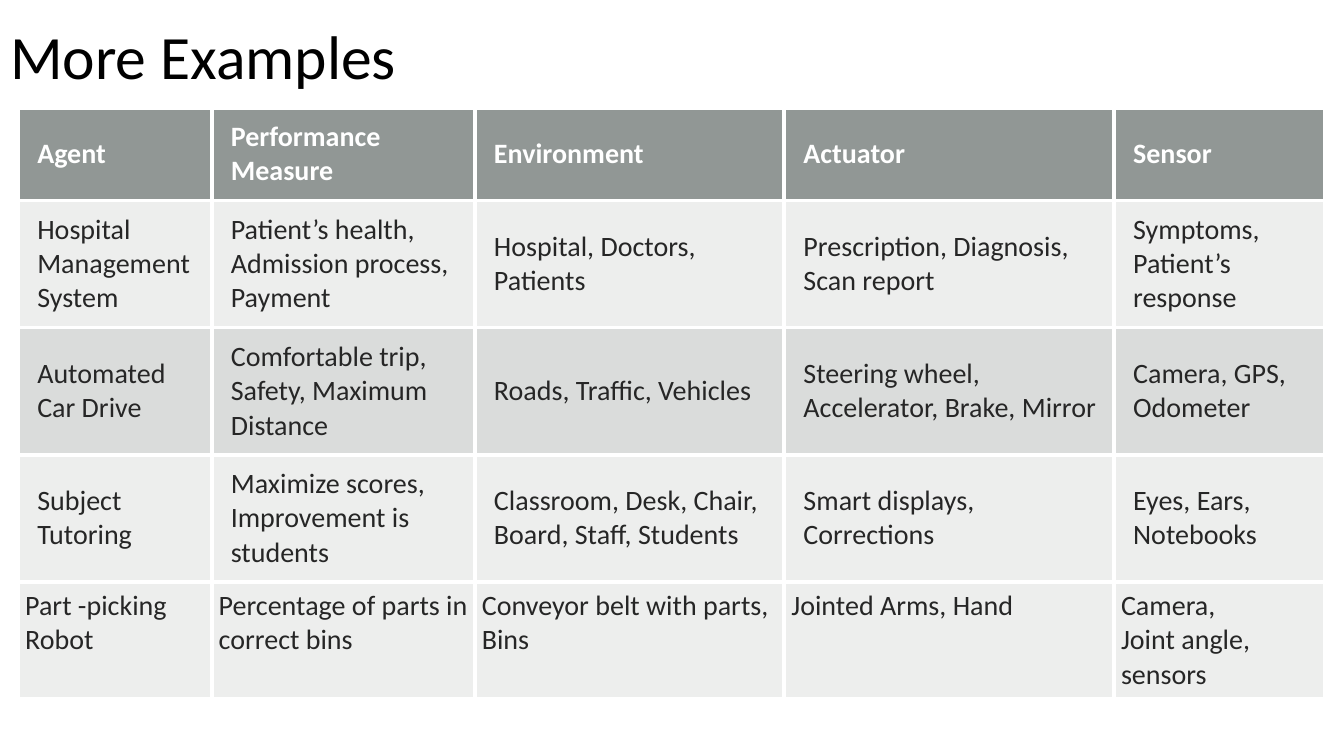
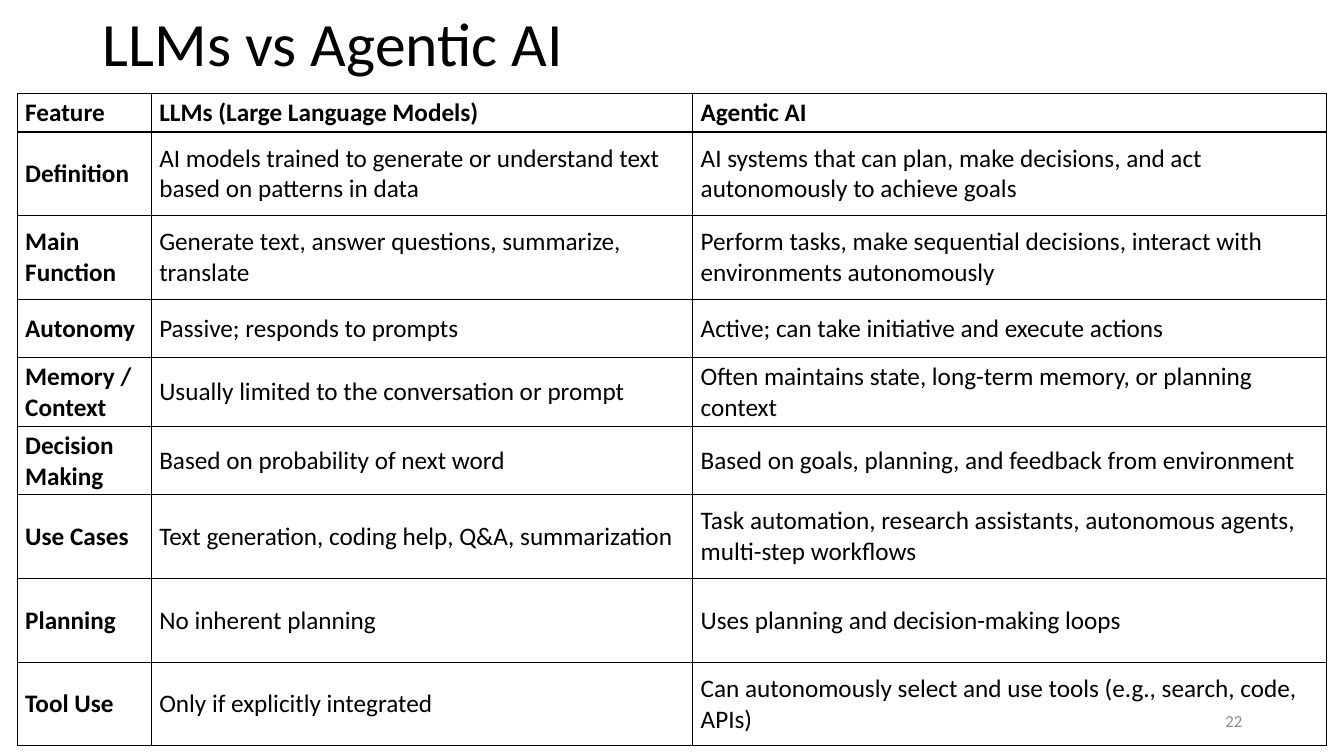
from pptx import Presentation
from pptx.dml.color import RGBColor
from pptx.enum.text import MSO_ANCHOR, MSO_AUTO_SIZE, PP_ALIGN
from pptx.oxml.ns import qn
from pptx.util import Inches, Pt
from lxml import etree

MIDDLE, TOP = MSO_ANCHOR.MIDDLE, MSO_ANCHOR.TOP
LEFT, RIGHT = PP_ALIGN.LEFT, PP_ALIGN.RIGHT
NO_AUTOFIT = MSO_AUTO_SIZE.NONE
TITLE_ONLY = 5

FONT = "Calibri"
BLACK, WHITE, DARK, GREY = "000000", "FFFFFF", "262626", "8C8C8C"
HEADER_FILL, BODY_FILL = "636B68", "878E8B"

AGENT_ROWS = [
    ["Agent", "Performance Measure", "Environment", "Actuator", "Sensor"],
    ["Hospital Management System", "Patient’s health, Admission process, Payment",
     "Hospital, Doctors, Patients", "Prescription, Diagnosis, Scan report",
     "Symptoms, Patient’s response"],
    ["Automated Car Drive", "Comfortable trip, Safety, Maximum Distance",
     "Roads, Traffic, Vehicles", "Steering wheel, Accelerator, Brake, Mirror",
     "Camera, GPS, Odometer"],
    ["Subject Tutoring", "Maximize scores, Improvement is students",
     "Classroom, Desk, Chair, Board, Staff, Students",
     "Smart displays, Corrections", "Eyes, Ears, Notebooks"],
    ["Part -picking Robot", "Percentage of parts in correct bins",
     "Conveyor belt with parts,\nBins", "Jointed Arms, Hand",
     "Camera,\nJoint angle, sensors"],
]
COMPARISON_ROWS = [
    ["Feature", "LLMs (Large Language Models)", "Agentic AI"],
    ["Definition",
     "AI models trained to generate or understand text based on patterns in data",
     "AI systems that can plan, make decisions, and act autonomously to achieve goals"],
    ["Main Function", "Generate text, answer questions, summarize, translate",
     "Perform tasks, make sequential decisions, interact with environments autonomously"],
    ["Autonomy", "Passive; responds to prompts",
     "Active; can take initiative and execute actions"],
    ["Memory / Context", "Usually limited to the conversation or prompt",
     "Often maintains state, long-term memory, or planning context"],
    ["Decision Making", "Based on probability of next word",
     "Based on goals, planning, and feedback from environment"],
    ["Use Cases", "Text generation, coding help, Q&A, summarization",
     "Task automation, research assistants, autonomous agents, multi-step workflows"],
    ["Planning", "No inherent planning", "Uses planning and decision-making loops"],
    ["Tool Use", "Only if explicitly integrated",
     "Can autonomously select and use tools (e.g., search, code, APIs)"],
]


def rgb(color):
    return RGBColor.from_string(color)


class Deck:
    """Holds the shared style and the slide being built."""

    def __init__(self):
        self.presentation = Presentation()
        self.presentation.slide_width = Inches(13.33)
        self.presentation.slide_height = Inches(7.5)
        self.slide = None

    def add_slide(self, title, left, top, width, height):
        layout = self.presentation.slide_layouts[TITLE_ONLY]
        self.slide = self.presentation.slides.add_slide(layout)
        shape = self.slide.shapes.title
        shape.left, shape.top = Inches(left), Inches(top)
        shape.width, shape.height = Inches(width), Inches(height)
        frame = shape.text_frame
        frame.auto_size = NO_AUTOFIT
        frame.vertical_anchor = MIDDLE
        self.add_text(frame, title, 44, BLACK)
        frame.paragraphs[0].line_spacing = 0.9

    def add_text(self, frame, text, size, color, bold=False, align=LEFT):
        frame.word_wrap = True
        for index, line in enumerate(text.split("\n")):
            paragraph = frame.add_paragraph() if index else frame.paragraphs[0]
            paragraph.alignment = align
            run = paragraph.add_run()
            run.text = line
            run.font.name, run.font.size = FONT, Pt(size)
            run.font.bold = bold
            run.font.color.rgb = rgb(color)

    def page_number(self, number):
        box = self.slide.shapes.add_textbox(
            Inches(9.42), Inches(6.95), Inches(3), Inches(0.4))
        box.text_frame.vertical_anchor = MIDDLE
        self.add_text(box.text_frame, number, 12, GREY, align=RIGHT)

    def table(self, left, top, columns, heights):
        table = self.slide.shapes.add_table(
            len(heights), len(columns), Inches(left), Inches(top),
            Inches(sum(columns)), Inches(sum(heights))).table
        table.first_row = table.horz_banding = False
        for column, width in zip(table.columns, columns):
            column.width = Inches(width)
        for row, height in zip(table.rows, heights):
            row.height = Inches(height)
        return table

    def cell(self, cell, text, size, color, bold, insets, anchor=MIDDLE):
        cell.vertical_anchor = anchor
        (cell.margin_left, cell.margin_top,
         cell.margin_right, cell.margin_bottom) = map(Inches, insets)
        self.add_text(cell.text_frame, text, size, color, bold)

    def cell_fill(self, cell, color, percent):
        cell.fill.solid()
        cell.fill.fore_color.rgb = rgb(color)
        properties = cell._tc.get_or_add_tcPr()
        shade = properties.find(qn("a:solidFill")).find(qn("a:srgbClr"))
        etree.SubElement(shade, qn("a:alpha")).set("val", str(percent * 1000))

    def cell_borders(self, cell, color, points):
        properties = cell._tc.get_or_add_tcPr()
        for index, side in enumerate("LRTB"):
            line = etree.Element(qn("a:ln" + side), w=str(Pt(points)))
            fill = etree.SubElement(line, qn("a:solidFill"))
            etree.SubElement(fill, qn("a:srgbClr")).set("val", color)
            properties.insert(index, line)


def agent_examples(deck):
    deck.add_slide("More Examples", 0, -0.03, 13.33, 1.25)
    table = deck.table(0.18, 1.07, [1.92, 2.61, 3.07, 3.27, 2.09], [0.86] + [1.14] * 4)
    last = len(AGENT_ROWS) - 1
    for row, texts in enumerate(AGENT_ROWS):
        header = row == 0
        insets = [0.07] * 4 if row == last else [0.19, 0.12, 0.12, 0.12]
        for column, text in enumerate(texts):
            cell = table.cell(row, column)
            deck.cell(cell, text, 20, WHITE if header else DARK, header, insets,
                      TOP if row == last else MIDDLE)
            if header:
                deck.cell_fill(cell, HEADER_FILL, 70)
            else:
                deck.cell_fill(cell, BODY_FILL, 30 if row == 2 else 15)
            deck.cell_borders(cell, WHITE, 3)


def model_comparison(deck):
    deck.add_slide("LLMs vs Agentic AI", 0.92, 0, 11.5, 0.93)
    deck.page_number("22")
    table = deck.table(0.17, 0.93, [1.33, 5.37, 6.29],
                       [0.37, 0.83, 0.83, 0.58, 0.66, 0.66, 0.83, 0.83, 0.83])
    for row, texts in enumerate(COMPARISON_ROWS):
        for column, text in enumerate(texts):
            cell = table.cell(row, column)
            deck.cell(cell, text, 18, BLACK, row == 0 or column == 0,
                      [0.08, 0.04, 0.08, 0.04])
            cell.fill.background()
            deck.cell_borders(cell, BLACK, 1)


def main():
    deck = Deck()
    agent_examples(deck)
    model_comparison(deck)
    deck.presentation.save("out.pptx")


if __name__ == "__main__":
    main()
